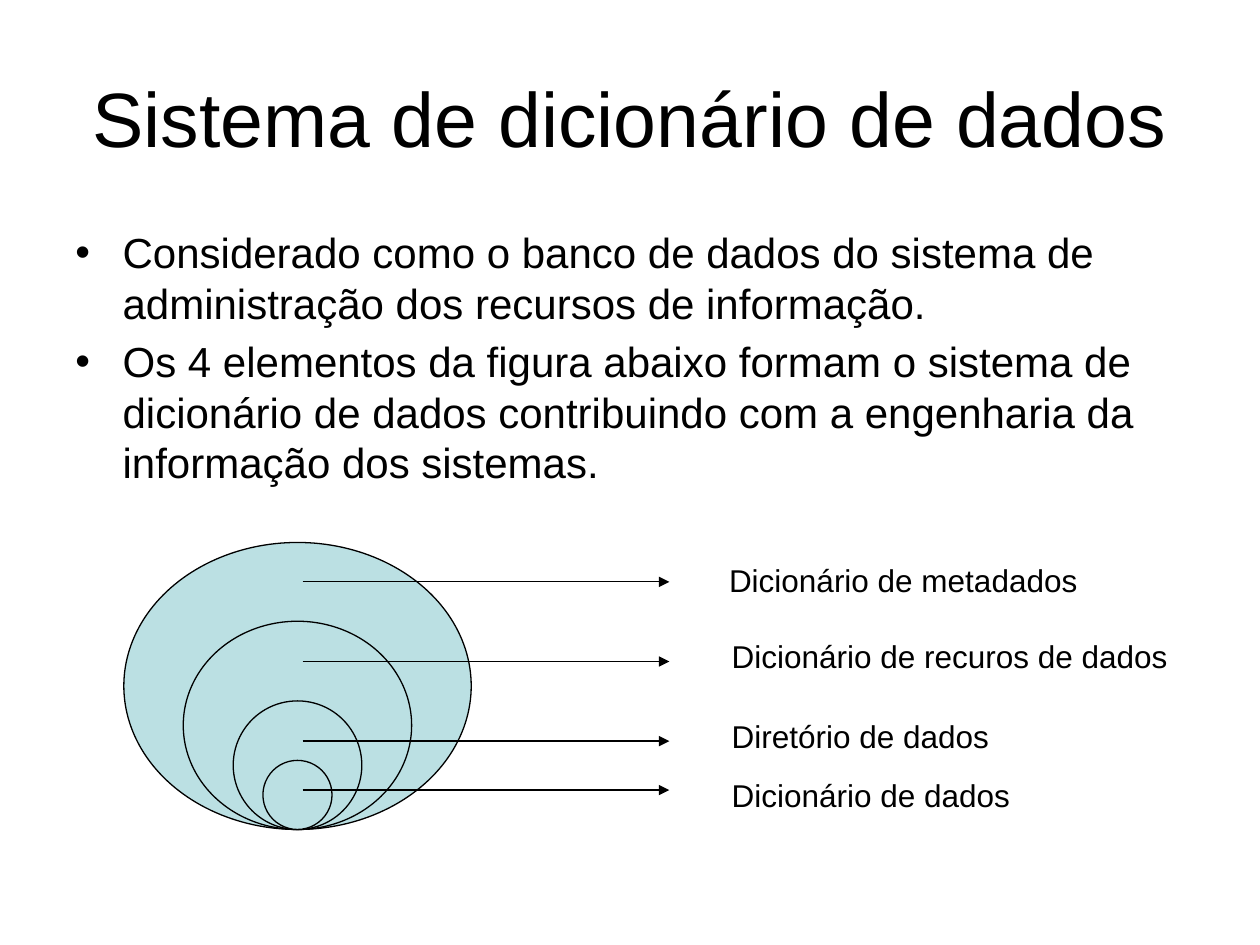
from lxml.etree import SubElement
from pptx import Presentation
from pptx.dml.color import RGBColor
from pptx.enum.shapes import MSO_CONNECTOR as Connector, MSO_SHAPE as Shape
from pptx.enum.text import MSO_ANCHOR as Anchor, MSO_AUTO_SIZE as AutoSize, PP_ALIGN as Align
from pptx.oxml.ns import qn
from pptx.util import Pt

# Content
TITLE = "Sistema de dicionário de dados"
BULLETS = [
    "Considerado como o banco de dados do sistema de administração dos recursos de informação.",
    "Os 4 elementos da figura abaixo formam o sistema de dicionário de dados "
    "contribuindo com a engenharia da informação dos sistemas.",
]
# Name, ellipse width and height, arrow y, label left, top and width
LAYERS = [
    ("Dicionário de metadados", 198.5, 164, 332.5, 409.5, 317, 214),
    ("Dicionário de recuros de dados", 130.5, 119, 378, 411, 360.5, 263.5),
    ("Diretório de dados", 73.5, 73.5, 423.5, 411, 406, 161.5),
    ("Dicionário de dados", 39.5, 39.5, 451.5, 411, 440, 173.5),
]

THEME = {
    "font": "Arial",
    "ink": RGBColor(0x00, 0x00, 0x00),
    "fill": RGBColor(0xBB, 0xE0, 0xE3),
    "title": 44, "body": 24, "label": 18, "line": 0.75,
}
CENTER_X, BASE_Y = 170, 474
ARROW_START, ARROW_END = 173, 382.5
LABEL_HEIGHT = 29
BULLET_INDENT = 27


def add_box(slide, left, top, width, height, wrap=True):
    frame = slide.shapes.add_textbox(Pt(left), Pt(top), Pt(width), Pt(height)).text_frame
    frame.word_wrap = wrap
    return frame


def write(paragraph, words, size):
    run = paragraph.add_run()
    run.text = words
    run.font.name = THEME["font"]
    run.font.size = Pt(size)
    run.font.color.rgb = THEME["ink"]


def outline(line):
    line.color.rgb = THEME["ink"]
    line.width = Pt(THEME["line"])


def make_bullet(paragraph):
    paragraph.space_before = Pt(0.2 * THEME["body"])
    props = paragraph._p.get_or_add_pPr()
    props.set("marL", str(Pt(BULLET_INDENT)))
    props.set("indent", str(-Pt(BULLET_INDENT)))
    SubElement(props, qn("a:buFont")).set("typeface", THEME["font"])
    SubElement(props, qn("a:buChar")).set("char", "•")


def add_ellipse(slide, width, height):
    ellipse = slide.shapes.add_shape(
        Shape.OVAL, Pt(CENTER_X - width / 2), Pt(BASE_Y - height), Pt(width), Pt(height))
    ellipse.shadow.inherit = False
    ellipse.fill.solid()
    ellipse.fill.fore_color.rgb = THEME["fill"]
    outline(ellipse.line)


def add_arrow(slide, y):
    arrow = slide.shapes.add_connector(
        Connector.STRAIGHT, Pt(ARROW_START), Pt(y), Pt(ARROW_END), Pt(y))
    outline(arrow.line)
    SubElement(arrow.line._get_or_add_ln(), qn("a:tailEnd")).set("type", "triangle")
    SubElement(arrow._element.spPr, qn("a:effectLst"))


def main():
    deck = Presentation()
    deck.slide_width, deck.slide_height = Pt(720), Pt(540)
    slide = deck.slides.add_slide(deck.slide_layouts[6])

    # Title
    heading = add_box(slide, 36, 21.6, 648, 90)
    heading.vertical_anchor = Anchor.MIDDLE
    heading.paragraphs[0].alignment = Align.CENTER
    write(heading.paragraphs[0], TITLE, THEME["title"])

    # Bullets
    body = add_box(slide, 36, 126, 648, 356.4)
    for index, sentence in enumerate(BULLETS):
        paragraph = body.add_paragraph() if index else body.paragraphs[0]
        make_bullet(paragraph)
        write(paragraph, sentence, THEME["body"])

    # Nested ellipses, all resting on the same base point
    for _, width, height, *_ in LAYERS:
        add_ellipse(slide, width, height)

    # Arrows and labels
    for name, _, _, arrow_y, left, top, width in LAYERS:
        add_arrow(slide, arrow_y)
        label = add_box(slide, left, top, width, LABEL_HEIGHT, wrap=False)
        label.auto_size = AutoSize.SHAPE_TO_FIT_TEXT
        write(label.paragraphs[0], name, THEME["label"])

    deck.save("out.pptx")


if __name__ == "__main__":
    main()
